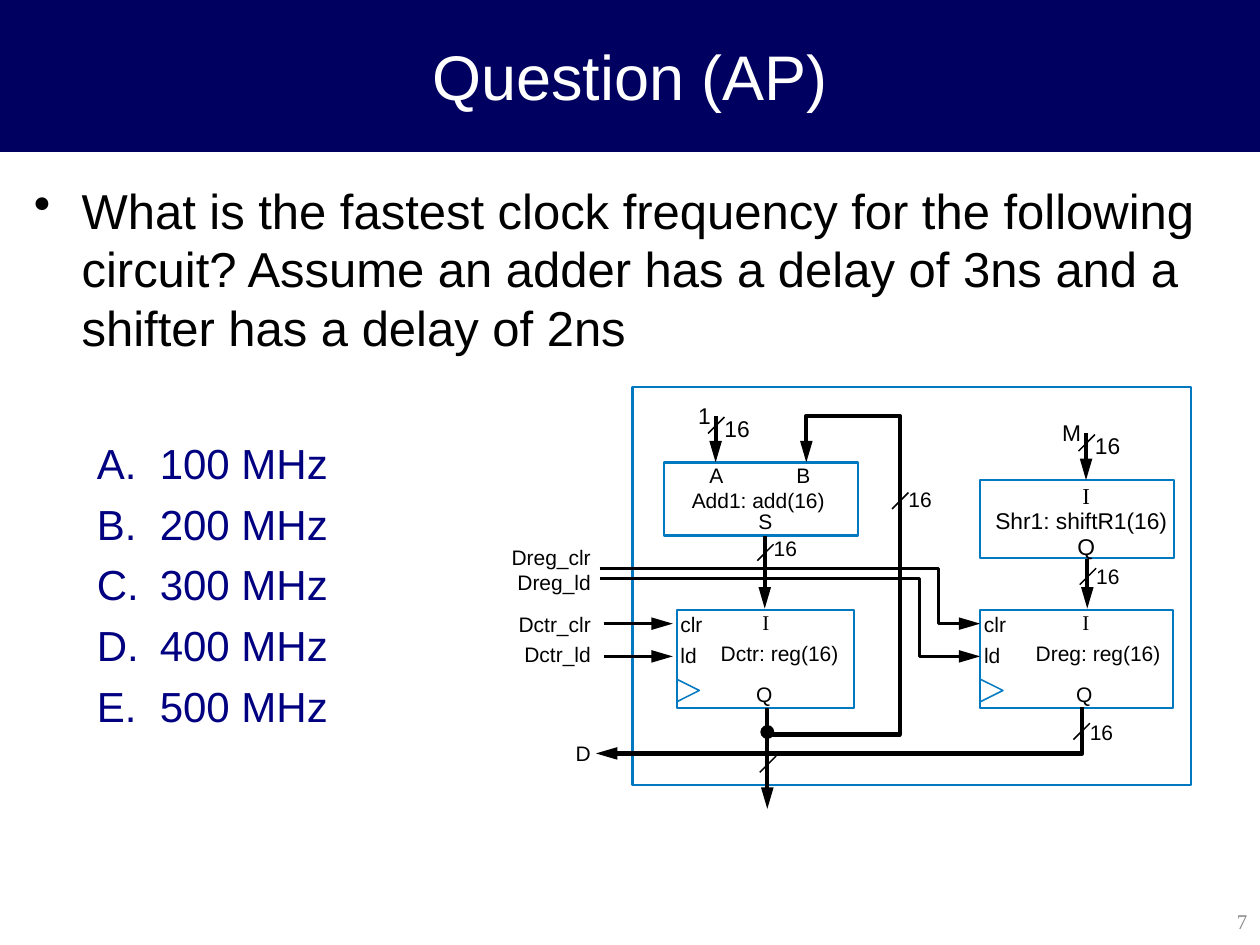
import math
import pptx
import pptx.util
import pptx.dml.color
import pptx.enum.text
import pptx.enum.shapes
import pptx.oxml
import pptx.oxml.ns

Inches = pptx.util.Inches
Pt = pptx.util.Pt
ALIGN = pptx.enum.text.PP_ALIGN
ANCHOR = pptx.enum.text.MSO_ANCHOR
SHAPE = pptx.enum.shapes.MSO_SHAPE
NAVY, INK, BLUE, WHITE, GRAY = "000060", "000000", "0079C1", "FFFFFF", "898989"
CHOICE = "000080"


def tint(code):
    """Turn a hex string into a colour."""
    return pptx.dml.color.RGBColor.from_string(code)


def write(part, text, size=12, color=INK, font="Arial", align=ALIGN.LEFT):
    """Put formatted text into a paragraph."""
    part.text = text
    part.alignment = align
    part.font.size = Pt(size)
    part.font.name = font
    part.font.color.rgb = tint(color)


def label(slide, text, x, y, w, h=0.2, **style):
    """Place a tight one-line label."""
    frame = slide.shapes.add_textbox(Inches(x), Inches(y), Inches(w), Inches(h)).text_frame
    frame.margin_left = frame.margin_right = frame.margin_top = frame.margin_bottom = 0
    frame.word_wrap = False
    write(frame.paragraphs[0], text, **style)


def paint(shape, fill=None, line=None, width=1.25):
    """Set the fill and outline of a shape."""
    shape.shadow.inherit = False
    if fill:
        shape.fill.solid()
        shape.fill.fore_color.rgb = tint(fill)
    else:
        shape.fill.background()
    if line:
        shape.line.color.rgb = tint(line)
        shape.line.width = Pt(width)
    else:
        shape.line.fill.background()


def solid(slide, x, y, w, h, kind=SHAPE.RECTANGLE, **style):
    """Draw a preset shape."""
    shape = slide.shapes.add_shape(kind, Inches(x), Inches(y), Inches(w), Inches(h))
    paint(shape, **style)


def trace(slide, points, close=False, **style):
    """Draw an outline through the points."""
    spots = [(Inches(x), Inches(y)) for x, y in points]
    pen = slide.shapes.build_freeform(*spots[0], scale=1.0)
    pen.add_line_segments(spots[1:], close=close)
    paint(pen.convert_to_shape(), **style)


def wire(slide, points, width=2.38):
    """Draw a straight line or a bent path."""
    if len(points) > 2:
        trace(slide, points, line=INK, width=width)
        return
    ends = [Inches(v) for point in points for v in point]
    line = slide.shapes.add_connector(pptx.enum.shapes.MSO_CONNECTOR.STRAIGHT, *ends)
    line.line.color.rgb = tint(INK)
    line.line.width = Pt(width)
    line._element.spPr.append(pptx.oxml.parse_xml(
        '<a:effectLst xmlns:a="http://schemas.openxmlformats.org/drawingml/2006/main"/>'))


def arrow(slide, points, width=2.38):
    """Draw a path whose last point is the tip of a solid head."""
    (px, py), (x, y) = points[-2:]
    span = math.hypot(x - px, y - py)
    dx, dy = (x - px) / span, (y - py) / span
    wire(slide, points[:-1] + [(x - 0.14 * dx, y - 0.14 * dy)], width)
    bx, by = x - 0.17 * dx, y - 0.17 * dy
    side = 0.05
    trace(slide, [(bx - side * dy, by + side * dx), (x, y),
                  (bx + side * dy, by - side * dx)], close=True, fill=INK)


def slash(slide, x, y, note="16", lift=0.04, size=12):
    """Mark the width of a bus that runs through x."""
    wire(slide, [(x + 0.07, y), (x - 0.06, y + 0.13)], 0.88)
    if note:
        label(slide, note, x + 0.07, y - lift, 0.2, size=size)


def bus(slide, x, top, end, cut, **mark):
    """Draw a downward bus with its width mark."""
    arrow(slide, [(x, top), (x, end)])
    slash(slide, x, top + cut, **mark)


def store(slide, x, y, w, name, inset, port):
    """Draw a register with its ports and clock notch."""
    solid(slide, x, y, w, 0.78, line=BLUE)
    trace(slide, [(x, y + 0.73), (x + 0.18, y + 0.64), (x, y + 0.55)], line=BLUE, width=0.88)
    label(slide, "clr", x + 0.03, y + 0.01, 0.2)
    label(slide, "ld", x + 0.03, y + 0.26, 0.15)
    label(slide, "I", x + port - 0.02, y, 0.08, font="Times New Roman")
    label(slide, "Q", x + port - 0.07, y + 0.57, 0.15)
    label(slide, name, x + inset, y + 0.24, 1.05)


def adder(slide, x, y):
    """Draw the adder with its ports."""
    solid(slide, x, y, 1.54, 0.58, fill=WHITE, line=BLUE, width=1.62)
    for text, dx, dy, w in [("A", 0.36, 0, 0.13), ("B", 1.05, 0, 0.13),
                            ("S", 0.75, 0.37, 0.13), ("Add1: add(16)", 0.22, 0.2, 1.12)]:
        label(slide, text, x + dx, y + dy, w)


def shifter(slide, x, y):
    """Draw the shifter with its ports."""
    solid(slide, x, y, 1.54, 0.62, line=BLUE)
    label(slide, "I", x + 0.81, y + 0.01, 0.08, 0.22, size=13, font="Times New Roman")
    label(slide, "Shr1: shiftR1(16)", x + 0.12, y + 0.21, 1.42, 0.22, size=13)
    label(slide, "Q", x + 0.77, y + 0.42, 0.16, 0.22, size=13)


def circuit(slide, x, y, w, h):
    """Draw the whole datapath around its outer box."""
    def at(*points):
        """Shift points into the box."""
        return [(x + dx, y + dy) for dx, dy in points]

    solid(slide, x, y, w, h, line=BLUE)
    adder(slide, x + 0.25, y + 0.6)
    shifter(slide, x + 2.76, y + 0.74)
    store(slide, x + 0.35, y + 1.77, 1.41, "Dctr: reg(16)", 0.35, 0.7)
    store(slide, x + 2.76, y + 1.77, 1.53, "Dreg: reg(16)", 0.44, 0.83)

    for text, dy in [("Dreg_clr", 1.25), ("Dreg_ld", 1.45), ("Dctr_clr", 1.78),
                     ("Dctr_ld", 2.02), ("D", 2.81)]:
        label(slide, text, x - 1.03, y + dy, 0.7, align=ALIGN.RIGHT)
    for dy, bend, end in [(1.44, 2.43, 1.88), (1.52, 2.28, 2.14)]:
        arrow(slide, at((-0.26, dy), (bend, dy), (bend, end), (2.76, end)), 1.62)
        arrow(slide, at((-0.23, end), (0.32, end)), 1.62)

    label(slide, "1", x + 0.52, y + 0.12, 0.12, 0.22, size=13)
    label(slide, "M", x + 3.41, y + 0.25, 0.17, 0.22, size=13)
    bus(slide, x + 0.66, y + 0.23, y + 0.6, 0.01, lift=0.02, size=13)
    bus(slide, x + 3.6, y + 0.37, y + 0.74, 0.01, lift=0.02, size=13)
    bus(slide, x + 1.05, y + 1.18, y + 1.76, 0.07, lift=0.07)
    bus(slide, x + 3.61, y + 1.37, y + 1.76, 0.07)
    bus(slide, x + 1.07, y + 2.76, y + 3.35, 0.17, note=None)

    arrow(slide, at((1.07, 2.55), (1.07, 2.76), (2.12, 2.76), (2.12, 0.23),
                    (1.38, 0.23), (1.38, 0.6)))
    slash(slide, x + 2.12, y + 0.84, lift=0.05)
    arrow(slide, at((3.57, 2.54), (3.57, 2.91), (-0.29, 2.91)))
    slash(slide, x + 3.56, y + 2.67, lift=0.03)
    solid(slide, x + 1.02, y + 2.69, 0.1, 0.1, SHAPE.OVAL, fill=INK, line=INK, width=0.75)


def heading(slide, x, y, w, h):
    """Fill the title band."""
    title = slide.shapes.title
    title.left, title.top, title.width, title.height = map(Inches, (x, y, w, h))
    paint(title, fill=NAVY, line=NAVY, width=0.75)
    title.text_frame.vertical_anchor = ANCHOR.MIDDLE
    write(title.text_frame.paragraphs[0], "Question (AP)", size=36, color=WHITE,
          align=ALIGN.CENTER)


def bullet(part, left, hang, color, tag, **mark):
    """Give a paragraph a hanging bullet or letter."""
    name = pptx.oxml.ns.qn
    props = part._p.get_or_add_pPr()
    props.set("marL", str(Inches(left)))
    props.set("indent", str(-Inches(hang)))
    shade = props.makeelement(name("a:buClr"), {})
    shade.append(shade.makeelement(name("a:srgbClr"), {"val": color}))
    props.append(shade)
    props.append(props.makeelement(name(tag), mark))


def question(slide, x, y, w, h):
    """Write the question and its lettered choices."""
    frame = slide.shapes.add_textbox(Inches(x), Inches(y), Inches(w), Inches(h)).text_frame
    frame.word_wrap = True
    part = frame.paragraphs[0]
    bullet(part, 0.38, 0.38, INK, "a:buChar", char="•")
    write(part, "What is the fastest clock frequency for the following circuit? "
          "Assume an adder has a delay of 3ns and a shifter has a delay of 2ns", size=28)
    for rate in range(100, 600, 100):
        part = frame.add_paragraph()
        part.level = 1
        part.space_before = Pt(46 if rate == 100 else 6)
        bullet(part, 1, 0.5, CHOICE, "a:buAutoNum", type="alphaUcPeriod")
        write(part, f"{rate} MHz", size=24, color=CHOICE)


def main():
    """Build and save the slide."""
    deck = pptx.Presentation()
    deck.slide_width, deck.slide_height = Inches(10), Inches(7.5)
    slide = deck.slides.add_slide(deck.slide_layouts[5])
    heading(slide, 0, 0, 10, 1.2)
    question(slide, 0.17, 1.38, 9.66, 5.72)
    label(slide, "7", 7.98, 7.21, 1.92, size=12, color=GRAY, font="Times New Roman",
          align=ALIGN.RIGHT)
    circuit(slide, 5.02, 3.07, 4.43, 3.16)
    deck.save("out.pptx")


if __name__ == "__main__":
    main()
